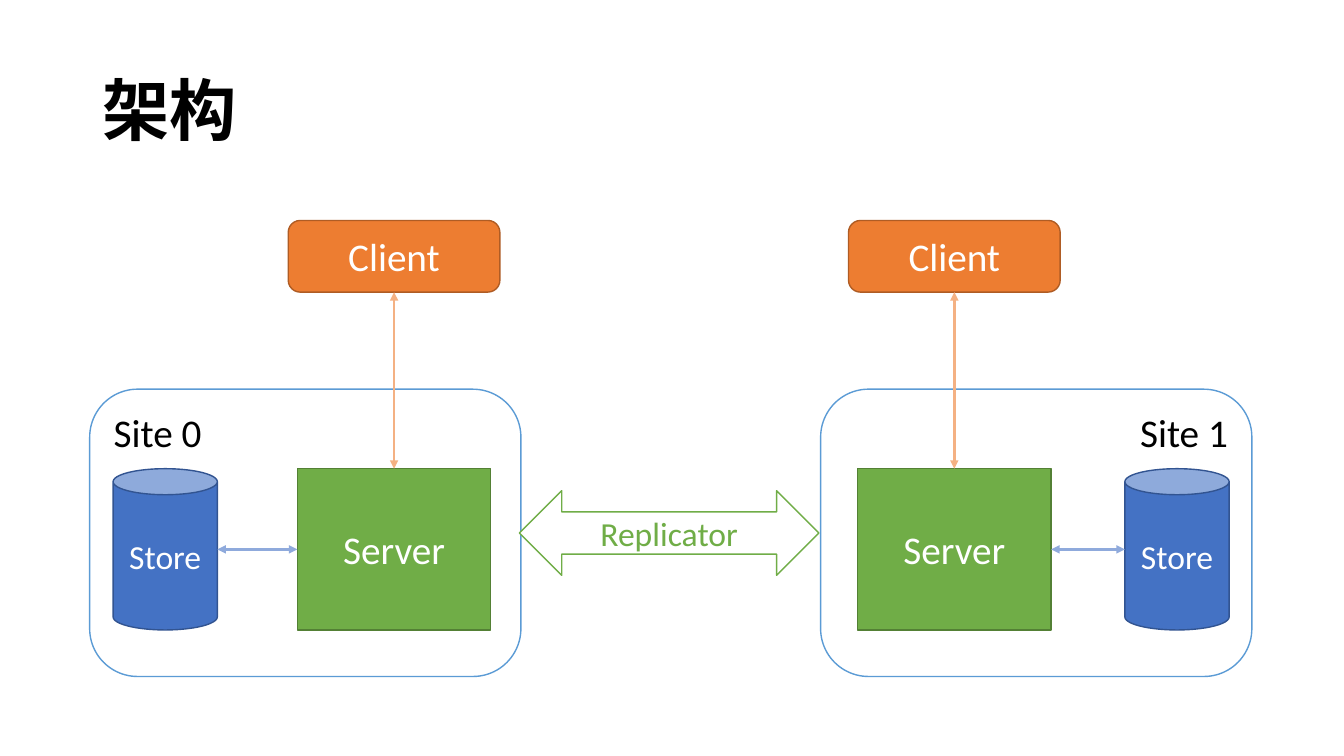
from lxml import etree
from pptx import Presentation
from pptx.dml.color import RGBColor
from pptx.enum.shapes import MSO_CONNECTOR, MSO_SHAPE
from pptx.enum.text import MSO_ANCHOR, PP_ALIGN
from pptx.oxml.ns import qn
from pptx.util import Pt

ROUNDED, RECTANGLE = MSO_SHAPE.ROUNDED_RECTANGLE, MSO_SHAPE.RECTANGLE
CAN, DOUBLE_ARROW = MSO_SHAPE.CAN, MSO_SHAPE.LEFT_RIGHT_ARROW
STRAIGHT = MSO_CONNECTOR.STRAIGHT
TOP, MIDDLE = MSO_ANCHOR.TOP, MSO_ANCHOR.MIDDLE
LEFT, CENTER, RIGHT = PP_ALIGN.LEFT, PP_ALIGN.CENTER, PP_ALIGN.RIGHT

BLACK = RGBColor(0x00, 0x00, 0x00)
WHITE = RGBColor(0xFF, 0xFF, 0xFF)
SITE_EDGE = RGBColor(0x5B, 0x9B, 0xD5)
GREEN, GREEN_EDGE = RGBColor(0x70, 0xAD, 0x47), RGBColor(0x53, 0x80, 0x35)
BLUE, BLUE_EDGE = RGBColor(0x44, 0x72, 0xC4), RGBColor(0x32, 0x54, 0x91)
ORANGE, ORANGE_EDGE = RGBColor(0xED, 0x7D, 0x31), RGBColor(0xAF, 0x5C, 0x24)
CLIENT_LINK = RGBColor(0xF4, 0xB1, 0x83)
STORE_LINK = RGBColor(0x8F, 0xAA, 0xDC)
FONT = "Calibri"

# Content: each site has its label, label alignment, and left edges in points
TITLE = "架构"
REPLICATOR = "Replicator"
SITES = [
    {"label": "Site 0", "align": LEFT, "site": 64.1, "server": 212.4, "store": 80.8},
    {"label": "Site 1", "align": RIGHT, "site": 586.2, "server": 612.6, "store": 803.5},
]
SITE_TOP, SITE_W, SITE_H = 278, 308, 205.2
NODE_TOP, NODE_H = 334.8, 115.2
SERVER_W, STORE_W = 138.2, 74.5
CLIENT_TOP, CLIENT_W, CLIENT_H = 157.5, 151.2, 51.2

presentation = Presentation()
presentation.slide_width, presentation.slide_height = Pt(960), Pt(540)
slide = presentation.slides.add_slide(presentation.slide_layouts[6])


def write(shape, text, size, color, align=CENTER, anchor=MIDDLE, bold=False):
    frame = shape.text_frame
    frame.text = text
    frame.word_wrap = True
    frame.vertical_anchor = anchor
    paragraph = frame.paragraphs[0]
    paragraph.alignment = align
    font = paragraph.runs[0].font
    font.name, font.size, font.bold = FONT, Pt(size), bold
    font.color.rgb = color
    return paragraph


def add_box(kind, box, fill, edge, text, size=28, color=WHITE, **layout):
    shape = slide.shapes.add_shape(kind, *map(Pt, box))
    shape.shadow.inherit = False
    shape.fill.solid()
    shape.fill.fore_color.rgb = fill
    shape.line.color.rgb = edge
    shape.line.width = Pt(1)
    write(shape, text, size, color, **layout)


def add_link(x1, y1, x2, y2, color):
    """Draw a line with an arrowhead at both ends."""
    link = slide.shapes.add_connector(STRAIGHT, *map(Pt, (x1, y1, x2, y2)))
    link.line.color.rgb = color
    link.line.width = Pt(2)
    for end in ("a:headEnd", "a:tailEnd"):
        etree.SubElement(link.line._get_or_add_ln(), qn(end), type="triangle")
    etree.SubElement(link._element.spPr, qn("a:effectLst"))


def add_site(site):
    server, store = site["server"], site["store"]
    center = server + SERVER_W / 2
    middle = NODE_TOP + NODE_H / 2
    add_box(ROUNDED, (site["site"], SITE_TOP, SITE_W, SITE_H), WHITE, SITE_EDGE,
            site["label"], color=BLACK, align=site["align"], anchor=TOP)
    add_box(RECTANGLE, (server, NODE_TOP, SERVER_W, NODE_H), GREEN, GREEN_EDGE, "Server")
    add_box(CAN, (store, NODE_TOP, STORE_W, NODE_H), BLUE, BLUE_EDGE, "Store", size=24)
    add_box(ROUNDED, (center - CLIENT_W / 2, CLIENT_TOP, CLIENT_W, CLIENT_H),
            ORANGE, ORANGE_EDGE, "Client")
    add_link(center, CLIENT_TOP + CLIENT_H, center, NODE_TOP, CLIENT_LINK)
    if store < server:
        add_link(store + STORE_W, middle, server, middle, STORE_LINK)
    else:
        add_link(server + SERVER_W, middle, store, middle, STORE_LINK)


title = slide.shapes.add_textbox(Pt(66), Pt(28.8), Pt(828), Pt(104.4))
write(title, TITLE, 48, BLACK, align=LEFT, bold=True).line_spacing = 0.9

for site in SITES:
    add_site(site)
add_box(DOUBLE_ARROW, (371, 350.5, 214, 60.5), WHITE, GREEN, REPLICATOR,
        size=24, color=GREEN)

presentation.save("out.pptx")
